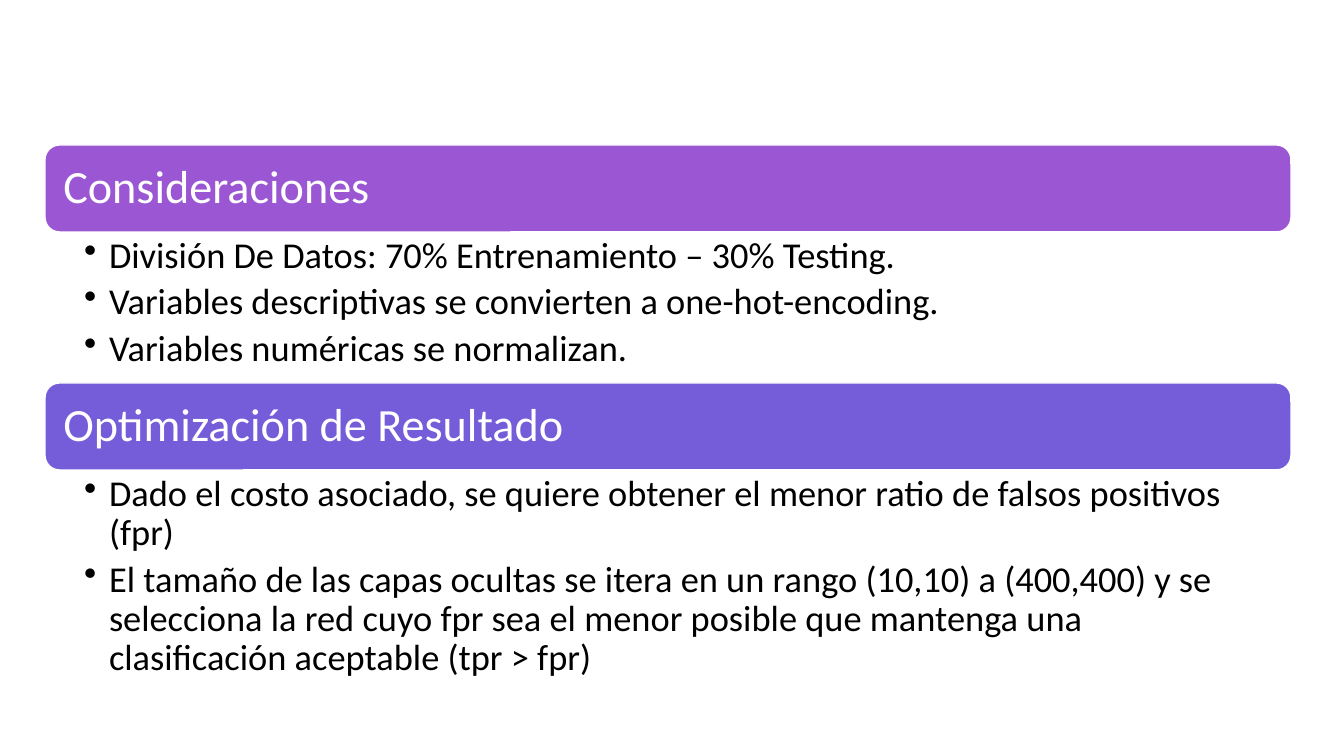
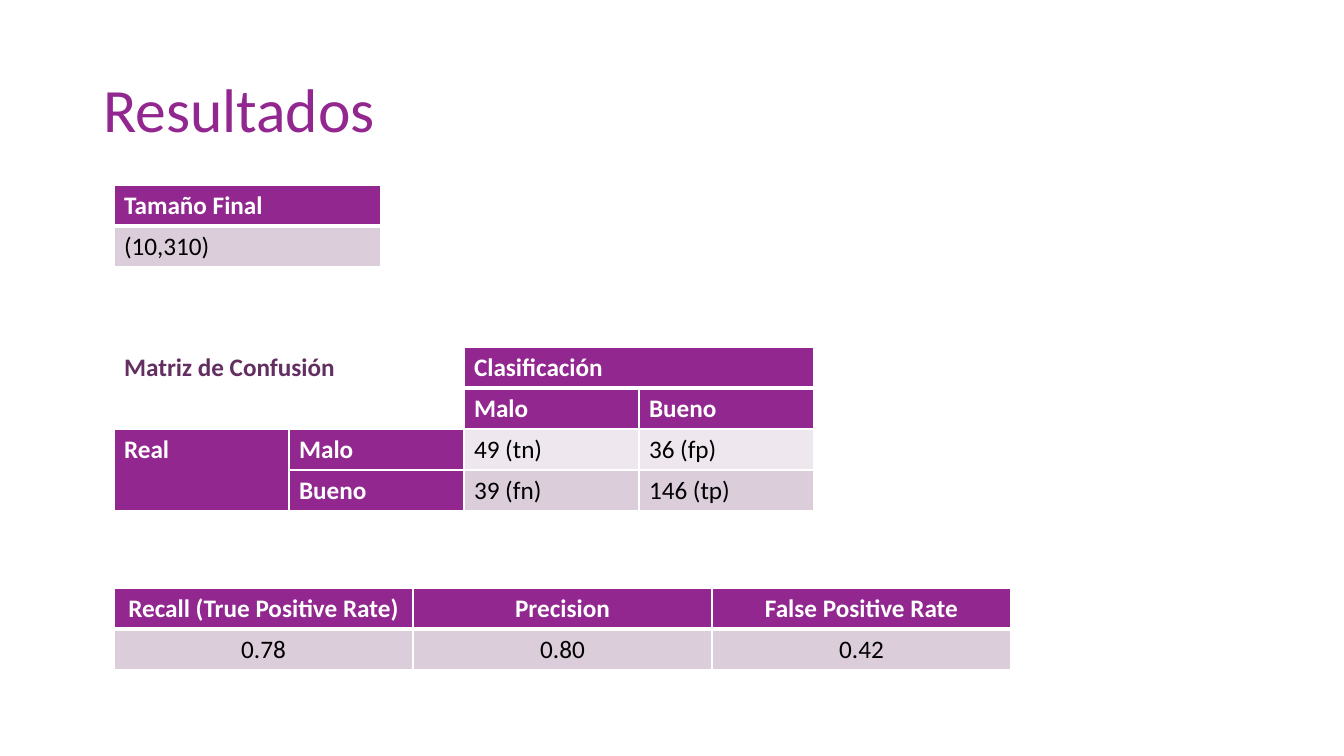
from dataclasses import dataclass
from enum import Enum
from typing import NamedTuple

from lxml.etree import SubElement
from pptx import Presentation
from pptx.dml.color import RGBColor
from pptx.enum.shapes import MSO_SHAPE as Shape
from pptx.enum.text import MSO_ANCHOR as Anchor, PP_ALIGN as Align
from pptx.oxml.ns import qn
from pptx.util import Pt

EMU_PER_PX = 914400 / 100.8


# Theme: colours, sizes and spacing shared by the slides
@dataclass(frozen=True)
class Theme:
    font: str = "Calibri"
    white: str = "FFFFFF"
    black: str = "000000"
    plum: str = "92278F"
    dark_plum: str = "632E62"
    lilac: str = "DCCDDB"
    pale_lilac: str = "EEE8EE"
    orchid: str = "9B57D3"
    violet: str = "755DD9"
    title_size: int = 44
    heading_size: int = 33
    bullet_size: int = 26
    table_size: int = 18
    line_spacing: float = 0.9
    bullet_gap: float = 5.2
    thin: int = 1
    thick: int = 3


THEME = Theme()


class Box(NamedTuple):
    left: int
    top: int
    width: int
    height: int


class CellStyle(NamedTuple):
    fill: str
    color: str
    bold: bool


class Look(Enum):
    HEADER = CellStyle(THEME.plum, THEME.white, True)
    CAPTION = CellStyle(THEME.white, THEME.dark_plum, True)
    BAND = CellStyle(THEME.lilac, THEME.black, False)
    PALE = CellStyle(THEME.pale_lilac, THEME.black, False)


@dataclass(frozen=True)
class Topic:
    heading: str
    color: str
    top: int
    bullets_height: int
    bullets: tuple[str, ...]


@dataclass(frozen=True)
class ResultTable:
    top: int
    column_width: int
    texts: tuple[tuple[str, ...], ...]
    looks: tuple[tuple[Look, ...], ...]
    merges: tuple[tuple[int, int, int, int], ...] = ()
    align: Align = Align.LEFT


# Helpers
def px(length: float) -> int:
    return round(length * EMU_PER_PX)


def emu(box: Box) -> tuple[int, ...]:
    return tuple(px(length) for length in box)


def rgb(color: str) -> RGBColor:
    return RGBColor.from_string(color)


def write(frame, *texts: str, size: int, color: str, bold: bool = False,
          align: Align = Align.LEFT, anchor: Anchor = Anchor.TOP,
          line_spacing: float = 1.0, gap: float = 0, bullet_indent: int = 0,
          insets: tuple[int, ...] = ()) -> None:
    """Fill a text frame, one paragraph per text; insets are left, top, right, bottom."""
    frame.word_wrap = True
    frame.vertical_anchor = anchor
    if insets:
        (frame.margin_left, frame.margin_top,
         frame.margin_right, frame.margin_bottom) = map(px, insets)
    for index, text in enumerate(texts):
        paragraph = frame.add_paragraph() if index else frame.paragraphs[0]
        paragraph.alignment = align
        paragraph.line_spacing = line_spacing
        paragraph.space_before = Pt(0)
        paragraph.space_after = Pt(gap)
        run = paragraph.add_run()
        run.text = text
        run.font.name = THEME.font
        run.font.size = Pt(size)
        run.font.bold = bold
        run.font.color.rgb = rgb(color)
        if bullet_indent:
            properties = paragraph._p.get_or_add_pPr()
            properties.set("marL", str(px(bullet_indent)))
            properties.set("indent", str(-px(bullet_indent)))
            SubElement(properties, qn("a:buChar")).set("char", "•")


def draw_topic(slide, topic: Topic) -> None:
    left, width, band_height = 45, 1246, 87
    band = slide.shapes.add_shape(
        Shape.ROUNDED_RECTANGLE, *emu(Box(left, topic.top, width, band_height)))
    band.shadow.inherit = False
    band.fill.solid()
    band.fill.fore_color.rgb = rgb(topic.color)
    band.line.color.rgb = rgb(THEME.white)
    band.line.width = Pt(THEME.thin)
    write(band.text_frame, topic.heading, size=THEME.heading_size, color=THEME.white,
          anchor=Anchor.MIDDLE, line_spacing=THEME.line_spacing, insets=(14, 5, 14, 5))

    details = slide.shapes.add_textbox(
        *emu(Box(left, topic.top + band_height, width, topic.bullets_height)))
    write(details.text_frame, *topic.bullets, size=THEME.bullet_size, color=THEME.black,
          line_spacing=THEME.line_spacing, gap=THEME.bullet_gap, bullet_indent=25,
          insets=(39, 5, 26, 5))


def draw_borders(cell, top: int, bottom: int) -> None:
    properties = cell._tc.get_or_add_tcPr()
    edges = {"a:lnL": THEME.thin, "a:lnR": THEME.thin, "a:lnT": top, "a:lnB": bottom}
    for edge, width in edges.items():
        line = SubElement(properties, qn(edge))
        line.set("w", str(Pt(width)))
        fill = SubElement(line, qn("a:solidFill"))
        SubElement(fill, qn("a:srgbClr")).set("val", THEME.white)


def draw_table(slide, result: ResultTable) -> None:
    left, row_height = 114, 41
    rows, columns = len(result.texts), len(result.texts[0])
    box = Box(left, result.top, columns * result.column_width, rows * row_height)
    table = slide.shapes.add_table(rows, columns, *emu(box)).table
    for column in table.columns:
        column.width = px(result.column_width)
    for row in table.rows:
        row.height = px(row_height)
    for top, first, bottom, last in result.merges:
        table.cell(top, first).merge(table.cell(bottom, last))
    for r, (texts, looks) in enumerate(zip(result.texts, result.looks)):
        for c, (text, look) in enumerate(zip(texts, looks)):
            cell, style = table.cell(r, c), look.value
            # The rule under the first row is thick
            draw_borders(cell, top=THEME.thick if r == 1 else THEME.thin,
                         bottom=THEME.thick if r == 0 else THEME.thin)
            cell.fill.solid()
            cell.fill.fore_color.rgb = rgb(style.fill)
            if text:
                write(cell.text_frame, text, size=THEME.table_size, color=style.color,
                      bold=style.bold, align=result.align)


# Content
TOPICS = (
    Topic("Consideraciones", THEME.orchid, 145, 150, (
        "División De Datos: 70% Entrenamiento – 30% Testing.",
        "Variables descriptivas se convierten a one-hot-encoding.",
        "Variables numéricas se normalizan.")),
    Topic("Optimización de Resultado", THEME.violet, 383, 219, (
        "Dado el costo asociado, se quiere obtener el menor ratio de falsos positivos (fpr)",
        "El tamaño de las capas ocultas se itera en un rango (10,10) a (400,400) y se "
        "selecciona la red cuyo fpr sea el menor posible que mantenga una clasificación "
        "aceptable (tpr > fpr)")),
)

FINAL_SIZE = ResultTable(
    185, 267, (("Tamaño Final",), ("(10,310)",)), ((Look.HEADER,), (Look.BAND,)))

CONFUSION_MATRIX = ResultTable(
    347, 175,
    (("Matriz de Confusión", "", "Clasificación", ""),
     ("", "", "Malo", "Bueno"),
     ("Real", "Malo", "49 (tn)", "36 (fp)"),
     ("", "Bueno", "39 (fn)", "146 (tp)")),
    ((Look.CAPTION,) * 2 + (Look.HEADER,) * 2,
     (Look.CAPTION,) * 2 + (Look.HEADER,) * 2,
     (Look.HEADER,) * 2 + (Look.PALE,) * 2,
     (Look.HEADER,) * 2 + (Look.BAND,) * 2),
    merges=((0, 0, 0, 1), (0, 2, 0, 3), (2, 0, 3, 0)))

RATES = ResultTable(
    588, 299,
    (("Recall (True Positive Rate)", "Precision", "False Positive Rate"),
     ("0.78", "0.80", "0.42")),
    ((Look.HEADER,) * 3, (Look.BAND,) * 3),
    align=Align.CENTER)

presentation = Presentation()
presentation.slide_width, presentation.slide_height = px(1344), px(756)
TITLE_ONLY, BLANK = presentation.slide_layouts[5], presentation.slide_layouts[6]

# Slide 1: considerations and optimisation
approach = presentation.slides.add_slide(BLANK)
for topic in TOPICS:
    draw_topic(approach, topic)

# Slide 2: results
results = presentation.slides.add_slide(TITLE_ONLY)
title = results.shapes.title
title.left, title.top, title.width, title.height = emu(Box(93, 40, 1159, 146))
write(title.text_frame, "Resultados", size=THEME.title_size, color=THEME.plum,
      anchor=Anchor.MIDDLE, line_spacing=THEME.line_spacing)
for result in (FINAL_SIZE, CONFUSION_MATRIX, RATES):
    draw_table(results, result)

presentation.save("out.pptx")
